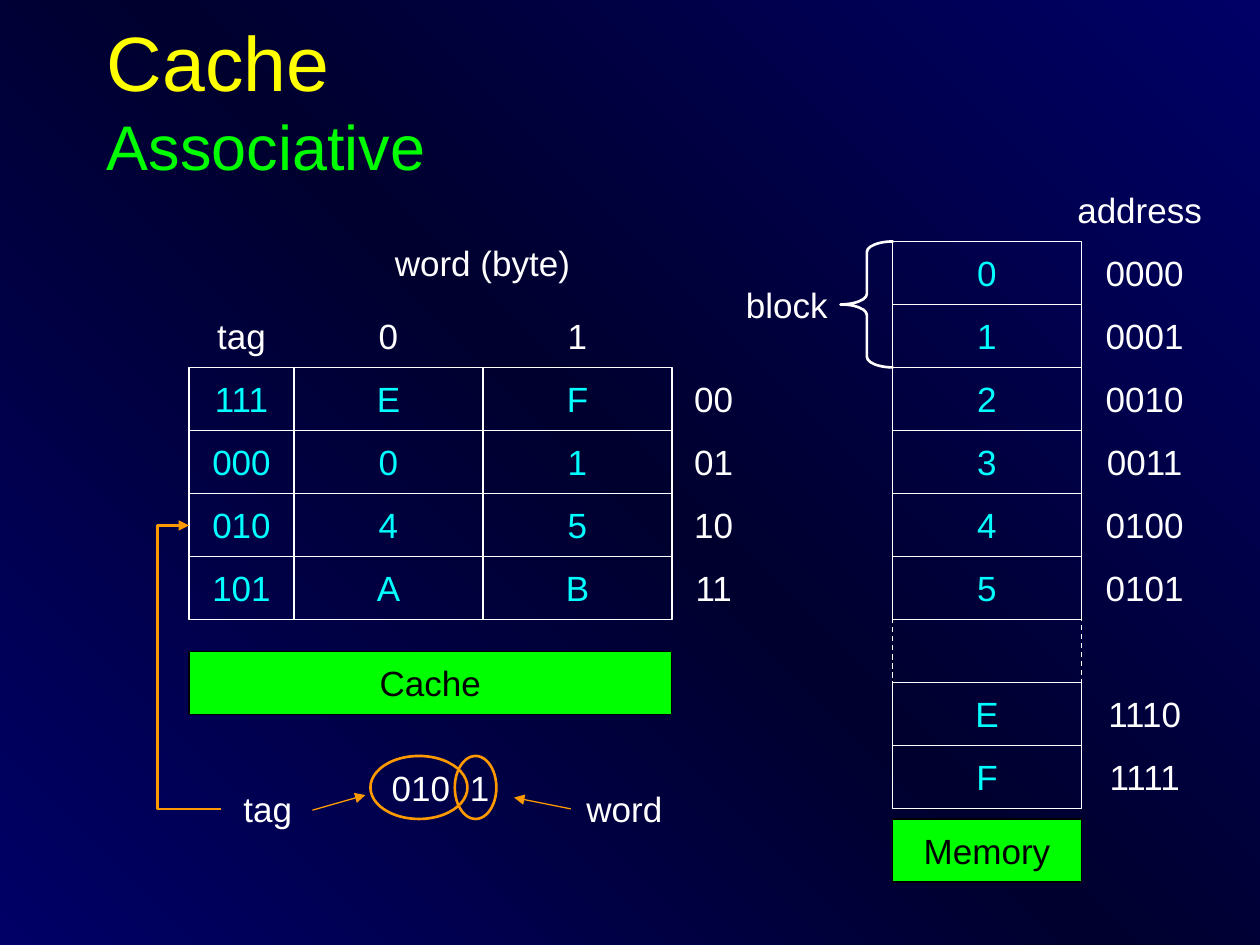
from copy import deepcopy
from dataclasses import dataclass

from lxml import etree
from pptx import Presentation
from pptx.dml.color import RGBColor
from pptx.enum.dml import MSO_LINE
from pptx.enum.shapes import MSO_CONNECTOR, MSO_SHAPE
from pptx.enum.text import MSO_ANCHOR, PP_ALIGN
from pptx.oxml.ns import qn
from pptx.util import Inches, Pt

RECT, OVAL, BRACE = MSO_SHAPE.RECTANGLE, MSO_SHAPE.OVAL, MSO_SHAPE.LEFT_BRACE
STRAIGHT, ELBOW = MSO_CONNECTOR.STRAIGHT, MSO_CONNECTOR.ELBOW
CENTER, LEFT = PP_ALIGN.CENTER, PP_ALIGN.LEFT
MIDDLE = MSO_ANCHOR.MIDDLE
DASH = MSO_LINE.DASH


@dataclass(frozen=True)
class Theme:
    font: str = "Arial"
    title: int = 44
    sub: int = 36
    body: int = 20
    thin: float = 0.75
    thick: float = 1.5
    edge: str = "000066"
    deep: str = "00002F"
    white: str = "FFFFFF"
    black: str = "000000"
    yellow: str = "FFFF00"
    green: str = "00FF00"
    cyan: str = "00FFFF"
    orange: str = "FF9900"


THEME = Theme()
ROW = 0.5
COLS = [(3 / 2, 5 / 6), (7 / 3, 3 / 2), (23 / 6, 3 / 2)]
CACHE = [
    ("111", "E", "F", "00"),
    ("000", "0", "1", "01"),
    ("010", "4", "5", "10"),
    ("101", "A", "B", "11"),
]
MEMORY = [
    ("0", "0000"), ("1", "0001"), ("2", "0010"), ("3", "0011"),
    ("4", "0100"), ("5", "0101"), None, ("E", "1110"), ("F", "1111"),
]
GAP = MEMORY.index(None)
TOP = 23 / 12


def rgb(code):
    return RGBColor.from_string(code)


def write(frame, text, color=THEME.white, size=THEME.body, align=CENTER, wrap=False):
    frame.word_wrap = wrap
    frame.vertical_anchor = MIDDLE
    if not wrap:
        frame.margin_left = frame.margin_right = 0
    para = frame.paragraphs[0]
    para.alignment = align
    run = para.add_run()
    run.text = text
    run.font.name = THEME.font
    run.font.size = Pt(size)
    run.font.color.rgb = rgb(color)
    return para


def label(slide, text, x, y, w, h=ROW, **style):
    box = slide.shapes.add_textbox(Inches(x), Inches(y), Inches(w), Inches(h))
    return write(box.text_frame, text, **style)


def form(slide, kind, x, y, w, h=ROW, line=THEME.white, width=THEME.thin, fill=None):
    shape = slide.shapes.add_shape(kind, Inches(x), Inches(y), Inches(w), Inches(h))
    shape.shadow.inherit = False
    shape.line.color.rgb = rgb(line)
    shape.line.width = Pt(width)
    if fill:
        shape.fill.solid()
        shape.fill.fore_color.rgb = rgb(fill)
    else:
        shape.fill.background()
    return shape


def cell(slide, text, x, y, w):
    write(form(slide, RECT, x, y, w).text_frame, text, color=THEME.cyan)


def banner(slide, text, x, y, w):
    bar = form(slide, RECT, x, y, w, line=THEME.black, fill=THEME.green)
    write(bar.text_frame, text, color=THEME.black)


def arrow(slide, kind, start, end, width=THEME.thin):
    points = [Inches(n) for n in (*start, *end)]
    link = slide.shapes.add_connector(kind, *points)
    link.line.color.rgb = rgb(THEME.orange)
    link.line.width = Pt(width)
    props = link._element.spPr
    etree.SubElement(props.find(qn("a:ln")), qn("a:tailEnd"), type="triangle")
    etree.SubElement(props, qn("a:effectLst"))
    return props


def loop(slide):
    props = arrow(slide, ELBOW, (1.5, 4.17), (1.75, 6.42), THEME.thick)
    props.find(qn("a:xfrm")).set("rot", "10800000")
    guides = props.find(qn("a:prstGeom")).find(qn("a:avLst"))
    etree.SubElement(guides, qn("a:gd"), name="adj1", fmla="val 200000")


def backdrop(slide):
    fill = slide.background.fill
    fill.gradient()
    fill.gradient_angle = 225
    stops = next(slide._element.iter(qn("a:gsLst")))
    stops.append(deepcopy(stops[0]))
    colors = (THEME.edge, THEME.deep, THEME.edge)
    for i, (stop, color) in enumerate(zip(fill.gradient_stops, colors)):
        stop.position = i / 2
        stop.color.rgb = rgb(color)


def heading(slide):
    box = slide.shapes.add_textbox(Inches(0.75), Inches(0.16), Inches(8.5), Inches(1.25))
    frame = box.text_frame
    style = {"align": LEFT, "wrap": True}
    para = write(frame, "Cache", color=THEME.yellow, size=THEME.title, **style)
    para.add_line_break()
    write(frame, "Associative", color=THEME.green, size=THEME.sub, **style)


def memory(slide):
    x, w = 85 / 12, 1.5
    form(slide, RECT, x, TOP + GAP * ROW, w).line.dash_style = DASH
    label(slide, "address", 8.42, TOP - ROW, 1.25)
    for i, item in enumerate(MEMORY):
        if item:
            y = TOP + i * ROW
            cell(slide, item[0], x, y, w)
            label(slide, item[1], 8.75, y, 0.67)
    banner(slide, "Memory", x, 6.5, w)
    label(slide, "block", 5.83, 2.17, 0.83)
    brace = form(slide, BRACE, 6.67, TOP, 0.42, 2 * ROW, width=THEME.thick)
    brace.adjustments[0] = 0.2


def cache(slide):
    top = TOP + 2 * ROW
    label(slide, "word (byte)", 2.33, 1.83, 3)
    for text, (x, w) in zip(("tag", "0", "1"), COLS):
        label(slide, text, x, top - ROW, w)
    for i, (*data, index) in enumerate(CACHE):
        y = top + i * ROW
        for text, (x, w) in zip(data, COLS):
            cell(slide, text, x, y, w)
        label(slide, index, 5.33, y, 0.67)
    banner(slide, "Cache", 1.5, 5.17, 3.83)


def lookup(slide):
    para = label(slide, "010\t1", 3.01, 6, 0.98, align=LEFT, wrap=True)
    tabs = etree.SubElement(para._p.get_or_add_pPr(), qn("a:tabLst"))
    etree.SubElement(tabs, qn("a:tab"), pos=str(Inches(0.62)), algn="l")
    label(slide, "tag", 1.75, 6.17, 0.75)
    label(slide, "word", 4.58, 6.17, 0.75)
    for x, w in ((2.94, 0.77), (3.61, 0.33)):
        form(slide, OVAL, x, 6, w, line=THEME.orange, width=THEME.thick)
    arrow(slide, STRAIGHT, (2.48, 6.43), (2.9, 6.31))
    arrow(slide, STRAIGHT, (4.53, 6.42), (4.08, 6.33))
    loop(slide)


def main():
    deck = Presentation()
    deck.slide_width, deck.slide_height = Inches(10), Inches(7.5)
    slide = deck.slides.add_slide(deck.slide_layouts[6])
    backdrop(slide)
    heading(slide)
    memory(slide)
    cache(slide)
    lookup(slide)
    deck.save("out.pptx")


if __name__ == "__main__":
    main()
